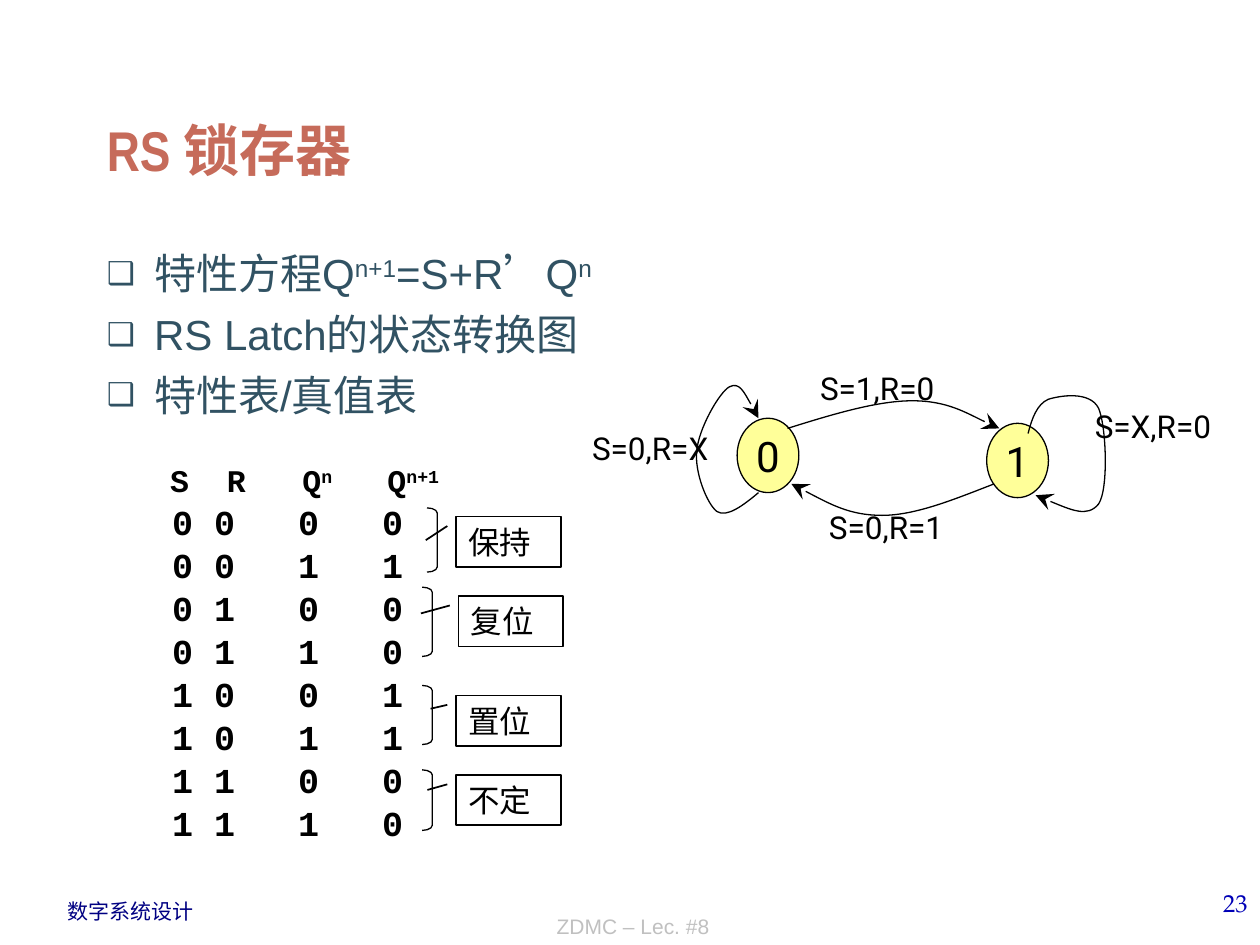
import pptx
import pptx.util
import pptx.dml.color
import pptx.enum.shapes
import pptx.enum.text
import pptx.oxml
import pptx.oxml.ns

Pt = pptx.util.Pt
RGBColor = pptx.dml.color.RGBColor
SHAPE = pptx.enum.shapes.MSO_SHAPE
ALIGN = pptx.enum.text.PP_ALIGN
ANCHOR = pptx.enum.text.MSO_ANCHOR
qn = pptx.oxml.ns.qn

BLACK = RGBColor(0x00, 0x00, 0x00)
NAVY = RGBColor(0x00, 0x00, 0x82)
BLUE = RGBColor(0x00, 0x00, 0xB6)
GREY = RGBColor(0xC0, 0xC0, 0xC0)
RUST = RGBColor(0xC6, 0x6B, 0x5A)
SLATE = RGBColor(0x31, 0x52, 0x63)
YELLOW = RGBColor(0xFF, 0xFF, 0x99)

BULLETS = [
    [("特性方程Q", ""), ("n+1", "sup"), ("=S+R", ""), ("’", "quote"),
     ("Q", ""), ("n", "sup")],
    [("RS Latch的状态转换图", "")],
    [("特性表/真值表", "")],
]
HEADER = [("\tS\tR\tQ", ""), ("n", "sup"), ("\tQ", ""), ("n+1", "sup")]
HEAD_TABS = (10.8, 43.2, 86.4, 135)
ROWS = ["0000", "0011", "0100", "0110", "1001", "1011", "1100", "1110"]
ROW_TABS = (12, 36, 84, 132)

# Label, bracket (x, y, height), callout (x, y), callout line end (y, x)
MODES = [
    ("保持", (159, 31.7, 36.7), (175.6, 36.7), (0.469, -0.289)),
    ("复位", (156.2, 77, 39.6), (177, 82.1), (0.345, -0.359)),
    ("置位", (156.2, 133.2, 33.8), (175.6, 138.9), (0.265, -0.243)),
    ("不定", (156.2, 181.4, 34.6), (175.6, 184.3), (0.3, -0.273)),
]

STATES = [("0", 90.2, 32), ("1", 232.8, 34.9)]
LABELS = [("S=1,R=0", 130.5, 0.4), ("S=0,R=1", 135.6, 79.6),
          ("S=X,R=0", 287.5, 22), ("S=0,R=X", 0.2, 34.9)]
# Each arc is a start point followed by triples of Bezier points.
ARCS = [
    [(119, 37.8), (144.2, 29.9), (170.1, 22), (190.3, 22),
     (210.4, 22), (231.3, 34.2), (240, 37.8)],
    [(237.1, 69.5), (214.8, 78.1), (192.4, 87.5), (173, 87.5),
     (154.3, 87.5), (137.7, 78.1), (121.2, 69.5)],
    [(102.4, 74.5), (93.8, 81.7), (84.4, 88.9), (78.7, 85.3),
     (72.9, 81), (65.7, 62.3), (67.2, 50.8),
     (67.9, 38.5), (80.1, 16.9), (85.9, 14),
     (91.6, 11.2), (96.7, 21.2), (102.4, 32)],
    [(256.5, 40.7), (258.7, 32), (261.6, 24.1), (268, 21.2),
     (274.5, 19.1), (291.8, 16.2), (296.8, 26.3),
     (301.2, 36.4), (302.6, 72.4), (296.8, 81),
     (290.4, 88.9), (276, 82.4), (260.8, 76)],
]


def set_font(para, name, size, color, bold=False):
    font = para.font
    font.name, font.size, font.bold = name, Pt(size), bold
    font.color.rgb = color


def add_box(slide, x, y, w, h, wrap=True, anchor=ANCHOR.TOP):
    frame = slide.shapes.add_textbox(Pt(x), Pt(y), Pt(w), Pt(h)).text_frame
    frame.word_wrap = wrap
    frame.vertical_anchor = anchor
    return frame


def add_text(slide, text, box, font, align=ALIGN.LEFT, **opts):
    para = add_box(slide, *box, **opts).paragraphs[0]
    para.text, para.alignment = text, align
    set_font(para, *font)


def add_runs(para, parts):
    for text, kind in parts:
        run = para.add_run()
        run.text = text
        if kind == "sup":
            run.font._element.set("baseline", "30000")
        elif kind == "quote":
            run.font.name = "Roboto"


def add_props(para, *items):
    props = para._p.get_or_add_pPr()
    space = pptx.oxml.ns.nsdecls("a")
    for tag, inner in items:
        props.append(pptx.oxml.parse_xml(f"<a:{tag[0]} {space} {tag[1]}>{inner}</a:{tag[0]}>"))
    return props


def style(shape, fill=None, width=0.75):
    shape.shadow.inherit = False
    if fill is None:
        shape.fill.background()
    else:
        shape.fill.solid()
        shape.fill.fore_color.rgb = fill
    shape.line.color.rgb = BLACK
    shape.line.width = Pt(width)


def add_shape(slide, kind, x, y, w, h, **look):
    shape = slide.shapes.add_shape(kind, Pt(x), Pt(y), Pt(w), Pt(h))
    style(shape, **look)
    return shape


def add_list(slide, x, y, w, h):
    frame = add_box(slide, x, y, w, h)
    for i, parts in enumerate(BULLETS):
        para = frame.add_paragraph() if i else frame.paragraphs[0]
        para.space_before = Pt(6 if i else 0)
        props = add_props(
            para,
            (("buClr", ""), f'<a:srgbClr val="{SLATE}"/>'),
            (("buSzPct", 'val="75000"'), ""),
            (("buFont", 'typeface="Arial"'), ""),
            (("buChar", 'char="❑"'), ""))
        props.set("marL", str(Pt(27)))
        props.set("indent", str(-Pt(27)))
        set_font(para, "Arial", 24, SLATE)
        add_runs(para, parts)


def add_truth(slide, x, y, w, h):
    frame = add_box(slide, x, y, w, h, wrap=False)
    frame.margin_left = frame.margin_right = Pt(1.4)
    frame.margin_top = frame.margin_bottom = Pt(2.2)
    lines = [HEADER] + [[("\t" + "\t".join(row), "")] for row in ROWS]
    for i, parts in enumerate(lines):
        para = frame.add_paragraph() if i else frame.paragraphs[0]
        para.line_spacing = Pt(24.6)
        stops = "".join(f'<a:tab pos="{Pt(t)}" algn="l"/>'
                        for t in (ROW_TABS if i else HEAD_TABS))
        add_props(para, (("tabLst", ""), stops))
        set_font(para, "Courier New", 20 if i else 18, BLACK, True)
        add_runs(para, parts)


def add_modes(slide, x, y):
    """Brackets beside the truth table, each with its callout."""
    for text, (bx, by, high), (cx, cy), end in MODES:
        mark = add_shape(slide, SHAPE.RIGHT_BRACKET, x + bx, y + by, 5.8, high)
        mark.adjustments[0] = 0.5
        note = add_shape(slide, SHAPE.LINE_CALLOUT_1, x + cx, y + cy,
                         59.8, 28.8, width=1)
        for i, value in enumerate((0.188, -0.083) + end):
            note.adjustments[i] = value
        note.text_frame.vertical_anchor = ANCHOR.TOP
        para = note.text_frame.paragraphs[0]
        para.text, para.alignment = text, ALIGN.LEFT
        set_font(para, "Comic Neue", 18, BLACK)


def add_arc(slide, x, y, points):
    """Arrow along Bezier points: line segments regrouped as curves."""
    spots = [(Pt(x + px), Pt(y + py)) for px, py in points]
    build = slide.shapes.build_freeform(*spots[0])
    build.add_line_segments(spots[1:], close=False)
    shape = build.convert_to_shape()
    style(shape)
    lines = list(shape._element.iter(qn("a:lnTo")))
    for i in range(0, len(lines), 3):
        curve = lines[i].makeelement(qn("a:cubicBezTo"))
        lines[i].addprevious(curve)
        for line in lines[i:i + 3]:
            curve.append(line[0])
            line.getparent().remove(line)
    tail = pptx.oxml.parse_xml(
        f'<a:tailEnd {pptx.oxml.ns.nsdecls("a")} type="stealth" w="lg" len="lg"/>')
    shape.line._get_or_add_ln().append(tail)


def add_states(slide, x, y):
    for text, sx, sy in STATES:
        state = add_shape(slide, SHAPE.OVAL, x + sx, y + sy, 35.3, 42.5, fill=YELLOW)
        state.text_frame.word_wrap = False
        para = state.text_frame.paragraphs[0]
        para.text, para.alignment = text, ALIGN.CENTER
        set_font(para, "Roboto", 24, BLACK)
    for points in ARCS:
        add_arc(slide, x, y, points)
    for text, lx, ly in LABELS:
        add_text(slide, text, (x + lx, y + ly, 101.5, 28.8), ("Roboto", 18, BLACK))


def add_footer(slide, x, y, w, h):
    add_text(slide, "数字系统设计", (x + 31.7, y + 6.5, 86.4, 21.6),
             ("Arial", 12, NAVY), wrap=False)
    add_text(slide, "23", (x + w - 150, y + 0.7, 150, h),
             ("TeX Gyre Pagella", 14, BLUE), ALIGN.RIGHT)
    add_text(slide, "ZDMC – Lec. #8", (x + 186.5, y, 350.6, h),
             ("Arial", 12, GREY), ALIGN.CENTER, anchor=ANCHOR.BOTTOM)


def main():
    deck = pptx.Presentation()
    deck.slide_width, deck.slide_height = Pt(720), Pt(540)
    slide = deck.slides.add_slide(deck.slide_layouts[6])
    add_footer(slide, 0, 503.3, 720, 36.7)
    add_text(slide, "RS 锁存器", (54, 18, 612, 90),
             ("Arial Narrow", 32, RUST, True), anchor=ANCHOR.BOTTOM)
    add_list(slide, 54, 138.2, 612, 324)
    add_states(slide, 331, 207)
    add_truth(slide, 85, 258.5, 249, 240.5)
    add_modes(slide, 85, 258.5)
    deck.save("out.pptx")


if __name__ == "__main__":
    main()
